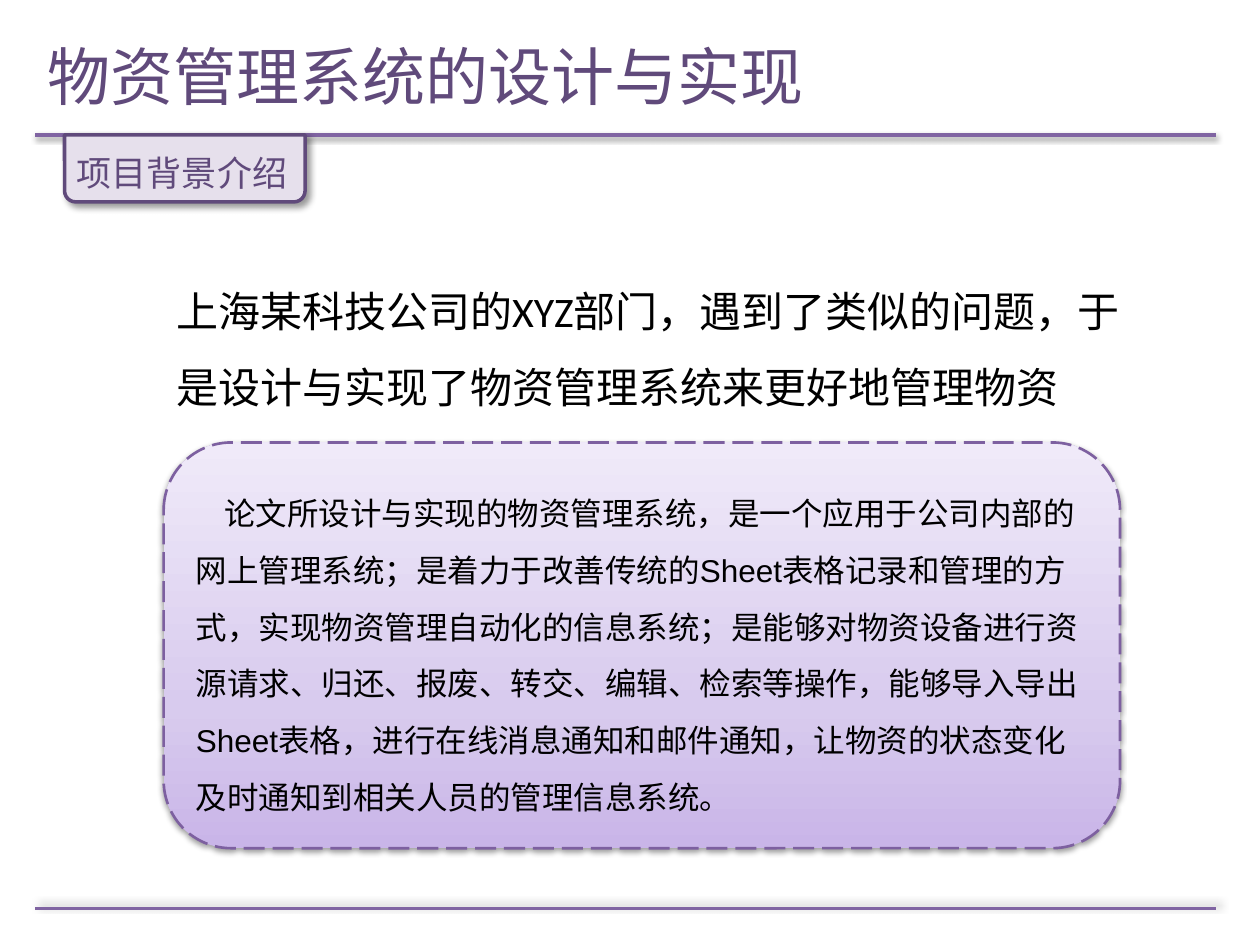
from lxml.etree import SubElement
from pptx import Presentation
from pptx.dml.color import RGBColor
from pptx.enum.dml import MSO_LINE
from pptx.enum.shapes import MSO_CONNECTOR, MSO_SHAPE
from pptx.enum.text import MSO_ANCHOR, MSO_AUTO_SIZE, PP_ALIGN
from pptx.oxml.ns import qn
from pptx.util import Cm, Pt

TITLE = "物资管理系统的设计与实现"
TAG = "项目背景介绍"
INTRO = "上海某科技公司的XYZ部门，遇到了类似的问题，于是设计与实现了物资管理系统来更好地管理物资"
DETAIL = (
    "论文所设计与实现的物资管理系统，是一个应用于公司内部的网上管理系统；"
    "是着力于改善传统的Sheet表格记录和管理的方式，实现物资管理自动化的信息系统；"
    "是能够对物资设备进行资源请求、归还、报废、转交、编辑、检索等操作，"
    "能够导入导出Sheet表格，进行在线消息通知和邮件通知，"
    "让物资的状态变化及时通知到相关人员的管理信息系统。"
)

THEME = {
    "dark": "604A7B", "rule": "8064A2", "dash": "7D60A0", "tag": "E6E0EC", "text": "000000",
    "gradient": [(0, "C9B5E8"), (35, "D8CBEE"), (100, "F0EAF9")],
    "title_size": 36, "intro_size": 24, "tag_size": 20, "detail_size": 18,
    "cjk": "Noto Sans CJK SC", "sans": "Arial", "body": "Calibri",
}

RULE_LEFT, RULE_RIGHT = 0.71, 24.51
SOFT = (38, 3.1, 1.6, 90)
RULES = [(2.72, SOFT), (18.31, (40, 4, 3, 315))]
TAG_SHADOW = (40, 4, 3, 45)
TITLE_BOX = (0.71, 0.33, 22.86, 2.39)
TAG_BOX = (1.3, 2.72, 4.85, 1.35)
TAG_TEXT_BOX = (1.3, 2.51, 5.89, 1.35)
INTRO_BOX = (3.3, 5.13, 19.66, 3.15)
DETAIL_BOX = (3.3, 8.92, 19.28, 8.18)
DETAIL_INDENT = 0.57


def box(values):
    return [Cm(v) for v in values]


def color(name):
    return RGBColor.from_string(THEME[name])


def add_color(parent, value):
    return SubElement(parent, qn("a:srgbClr"), val=value)


def add_shadow(sp, alpha, blur, dist, angle):
    spPr = sp._element.spPr
    effects = spPr.find(qn("a:effectLst"))
    if effects is None:
        effects = SubElement(spPr, qn("a:effectLst"))
    shadow = SubElement(effects, qn("a:outerShdw"), blurRad=str(Pt(blur)),
                        dist=str(Pt(dist)), dir=str(angle * 60000), rotWithShape="0")
    SubElement(add_color(shadow, THEME["text"]), qn("a:alpha"), val=str(alpha * 1000))


def set_line(sp, name, width):
    sp.line.color.rgb = color(name)
    sp.line.width = Pt(width)


def write(tf, text, font, size, fill, spacing=None):
    tf.word_wrap = True
    p = tf.paragraphs[0]
    p.alignment = PP_ALIGN.LEFT
    if spacing:
        p.line_spacing = spacing
    r = p.add_run()
    r.text = text
    r.font.name = THEME[font]
    r.font.size = Pt(THEME[size])
    r.font.color.rgb = color(fill)
    SubElement(r.font._element, qn("a:ea"), typeface=THEME["cjk"])
    return p


def add_text(shapes, place, *style):
    tf = shapes.add_textbox(*box(place)).text_frame
    write(tf, *style, spacing=1.5)
    tf.auto_size = MSO_AUTO_SIZE.SHAPE_TO_FIT_TEXT


def add_title(s):
    sp = s.shapes.title
    sp.left, sp.top, sp.width, sp.height = box(TITLE_BOX)
    sp.text_frame.vertical_anchor = MSO_ANCHOR.MIDDLE
    write(sp.text_frame, TITLE, "cjk", "title_size", "dark")


def add_rules(s):
    for y, shadow in RULES:
        line = s.shapes.add_connector(MSO_CONNECTOR.STRAIGHT, *box((RULE_LEFT, y, RULE_RIGHT, y)))
        set_line(line, "rule", 2)
        add_shadow(line, *shadow)


def add_tag(s):
    group = s.shapes.add_group_shape()
    sp = group.shapes.add_shape(MSO_SHAPE.ROUND_2_SAME_RECTANGLE, *box(TAG_BOX))
    sp.rotation = 180
    sp.fill.solid()
    sp.fill.fore_color.rgb = color("tag")
    set_line(sp, "dark", 2)
    sp.shadow.inherit = False
    add_shadow(sp, *TAG_SHADOW)
    add_text(group.shapes, TAG_TEXT_BOX, TAG, "sans", "tag_size", "dark")


def add_detail(s):
    sp = s.shapes.add_shape(MSO_SHAPE.ROUNDED_RECTANGLE, *box(DETAIL_BOX))
    sp.fill.gradient()
    sp.fill.gradient_angle = 90
    stops = sp._element.spPr.find(".//" + qn("a:gsLst"))
    stops.clear()
    for pos, value in THEME["gradient"]:
        add_color(SubElement(stops, qn("a:gs"), pos=str(pos * 1000)), value)
    set_line(sp, "dash", 1.5)
    sp.line.dash_style = MSO_LINE.LONG_DASH
    sp.shadow.inherit = False
    add_shadow(sp, *SOFT)
    sp.text_frame.vertical_anchor = MSO_ANCHOR.MIDDLE
    p = write(sp.text_frame, DETAIL, "sans", "detail_size", "text", 1.5)
    p._p.get_or_add_pPr().set("indent", str(Cm(DETAIL_INDENT)))


def main():
    prs = Presentation()
    prs.slide_width, prs.slide_height = Cm(25.4), Cm(19.05)
    s = prs.slides.add_slide(prs.slide_layouts[5])
    add_title(s)
    add_rules(s)
    add_tag(s)
    add_detail(s)
    add_text(s.shapes, INTRO_BOX, INTRO, "body", "intro_size", "text")
    prs.save("out.pptx")


if __name__ == "__main__":
    main()
